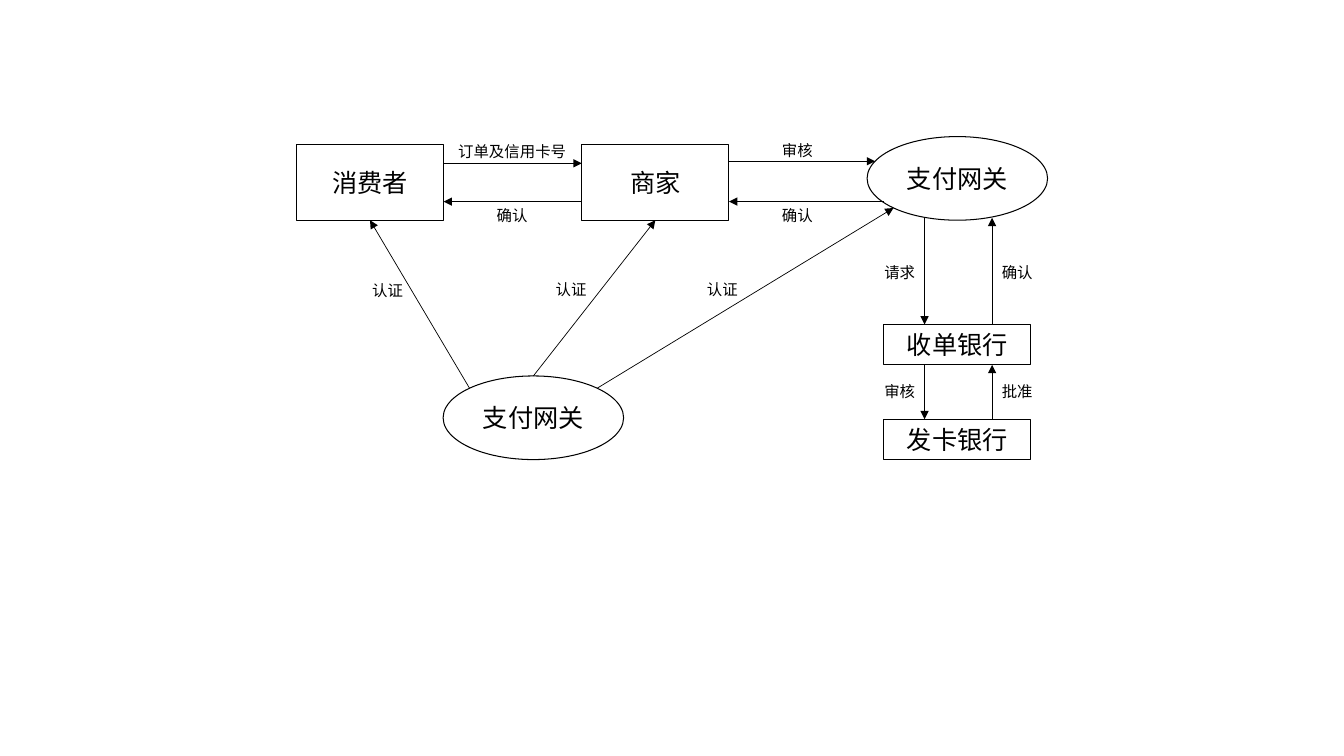
from dataclasses import dataclass

from lxml import etree
from pptx import Presentation
from pptx.dml.color import RGBColor
from pptx.enum.shapes import MSO_CONNECTOR, MSO_SHAPE
from pptx.enum.text import MSO_ANCHOR, MSO_AUTO_SIZE, PP_ALIGN
from pptx.oxml.ns import qn
from pptx.slide import Slide
from pptx.text.text import TextFrame
from pptx.util import Emu, Inches, Pt

RECTANGLE, ELLIPSE = MSO_SHAPE.RECTANGLE, MSO_SHAPE.OVAL
STRAIGHT = MSO_CONNECTOR.STRAIGHT
MIDDLE, CENTER, LEFT = MSO_ANCHOR.MIDDLE, PP_ALIGN.CENTER, PP_ALIGN.LEFT
GROW = MSO_AUTO_SIZE.SHAPE_TO_FIT_TEXT

CELL = 0.1  # inches per grid column and row
FONT = "Noto Sans CJK SC"
INK = "000000"
PARTY_SIZE, LABEL_SIZE = 18, 11
LABEL_HEIGHT = 2.9
LABEL_MARGIN = 0.22  # inches: both side insets and a little slack against wrapping
DIAGONAL = 0.707  # share of the half axes at 45 degrees on an ellipse

Point = tuple[float, float]


@dataclass(frozen=True)
class Party:
    """A participant; its centre and size are in grid cells."""
    name: str
    outline: int
    column: float
    row: float
    width: float
    height: float

    def at(self, across: float, down: float) -> Point:
        """Point at shares of the half width and half height from the centre."""
        return (self.column + across * self.width / 2,
                self.row + down * self.height / 2)


@dataclass(frozen=True)
class Message:
    """An arrow between two points, with its label's centre column and top row."""
    label: str
    start: Point
    end: Point
    label_column: float
    label_row: float


CONSUMER = Party("消费者", RECTANGLE, 36.7, 18.1, 14.6, 7.5)
MERCHANT = Party("商家", RECTANGLE, 65.0, 18.1, 14.6, 7.5)
GATEWAY = Party("支付网关", ELLIPSE, 94.95, 17.7, 17.9, 8.3)
CERTIFIER = Party("支付网关", ELLIPSE, 52.9, 41.45, 17.9, 8.3)
ACQUIRER = Party("收单银行", RECTANGLE, 94.95, 34.2, 14.6, 4.0)
ISSUER = Party("发卡银行", RECTANGLE, 94.95, 43.6, 14.6, 4.0)
PARTIES = (CONSUMER, MERCHANT, GATEWAY, CERTIFIER, ACQUIRER, ISSUER)

ORDER_ROW, REVIEW_ROW, REPLY_ROW = 16.2, 16.0, 20.0
DOWN_COLUMN, UP_COLUMN = 91.7, 98.4
DOWN_LABEL, UP_LABEL = 89.35, 101.0
SHOP_LABEL, GATEWAY_LABEL = 50.9, 79.2
REQUEST_LABEL_ROW, ISSUER_LABEL_ROW = 25.6, 37.4
GATEWAY_EDGE_ROW = 21.6
consumer_right = CONSUMER.at(1, 0)[0]
merchant_left, merchant_right = MERCHANT.at(-1, 0)[0], MERCHANT.at(1, 0)[0]
acquirer_top, acquirer_bottom = ACQUIRER.at(0, -1)[1], ACQUIRER.at(0, 1)[1]
issuer_top = ISSUER.at(0, -1)[1]

MESSAGES = (
    Message("订单及信用卡号", (consumer_right, ORDER_ROW), (merchant_left, ORDER_ROW), SHOP_LABEL, 13.6),
    Message("审核", (merchant_right, REVIEW_ROW), (86.8, REVIEW_ROW), GATEWAY_LABEL, 13.5),
    Message("请求", (DOWN_COLUMN, GATEWAY_EDGE_ROW), (DOWN_COLUMN, acquirer_top), DOWN_LABEL, REQUEST_LABEL_ROW),
    Message("审核", (DOWN_COLUMN, acquirer_bottom), (DOWN_COLUMN, issuer_top), DOWN_LABEL, ISSUER_LABEL_ROW),
    Message("批准", (UP_COLUMN, issuer_top), (UP_COLUMN, acquirer_bottom), UP_LABEL, ISSUER_LABEL_ROW),
    Message("确认", (UP_COLUMN, acquirer_top), (UP_COLUMN, GATEWAY_EDGE_ROW), UP_LABEL, REQUEST_LABEL_ROW),
    Message("确认", (87.7, REPLY_ROW), (merchant_right, REPLY_ROW), GATEWAY_LABEL, 19.95),
    Message("确认", (merchant_left, REPLY_ROW), (consumer_right, REPLY_ROW), SHOP_LABEL, 20.0),
    Message("认证", CERTIFIER.at(-DIAGONAL, -DIAGONAL), CONSUMER.at(0, 1), 38.55, 27.4),
    Message("认证", CERTIFIER.at(0, -1), MERCHANT.at(0, 1), 56.75, 27.3),
    Message("认证", CERTIFIER.at(DIAGONAL, -DIAGONAL), GATEWAY.at(-DIAGONAL, DIAGONAL), 71.75, 27.3),
)

PARTY_FRAME = {"word_wrap": True, "vertical_anchor": MIDDLE}
LABEL_FRAME = {"word_wrap": False, "auto_size": GROW}


def color(value: str) -> RGBColor:
    return RGBColor.from_string(value)


def cells(*counts: float) -> list[Emu]:
    return [Inches(count * CELL) for count in counts]


def write(frame: TextFrame, text: str, size: float, align: int, frame_format: dict) -> None:
    for attribute, value in frame_format.items():
        setattr(frame, attribute, value)
    paragraph = frame.paragraphs[0]
    paragraph.alignment = align
    run = paragraph.add_run()
    run.text = text
    for attribute, value in {"name": FONT, "size": Pt(size)}.items():
        setattr(run.font, attribute, value)
    run.font.color.rgb = color(INK)
    etree.SubElement(run.font._element, qn("a:ea"), typeface=FONT)


def draw_party(slide: Slide, party: Party) -> None:
    shape = slide.shapes.add_shape(
        party.outline, *cells(*party.at(-1, -1), party.width, party.height))
    shape.shadow.inherit = False
    shape.fill.background()
    shape.line.color.rgb = color(INK)
    shape.line.width = Pt(0.75)
    write(shape.text_frame, party.name, PARTY_SIZE, CENTER, PARTY_FRAME)


def draw_arrow(slide: Slide, message: Message) -> None:
    arrow = slide.shapes.add_connector(
        STRAIGHT, *cells(*message.start, *message.end))
    arrow.line.color.rgb = color(INK)
    arrow.line.width = Pt(0.5)
    etree.SubElement(arrow.line._get_or_add_ln(), qn("a:tailEnd"), type="triangle")
    etree.SubElement(arrow._element.spPr, qn("a:effectLst"))


def draw_label(slide: Slide, message: Message) -> None:
    """Size the box to its square characters plus the side margin."""
    width = (len(message.label) * LABEL_SIZE / 72 + LABEL_MARGIN) / CELL
    box = slide.shapes.add_textbox(*cells(
        message.label_column - width / 2, message.label_row, width, LABEL_HEIGHT))
    write(box.text_frame, message.label, LABEL_SIZE, LEFT, LABEL_FRAME)


def main() -> None:
    presentation = Presentation()
    presentation.slide_width, presentation.slide_height = Inches(13.33), Inches(7.5)
    slide = presentation.slides.add_slide(presentation.slide_layouts[6])
    for party in PARTIES:
        draw_party(slide, party)
    for message in MESSAGES:
        draw_arrow(slide, message)
    for message in MESSAGES:
        draw_label(slide, message)
    presentation.save("out.pptx")


if __name__ == "__main__":
    main()
